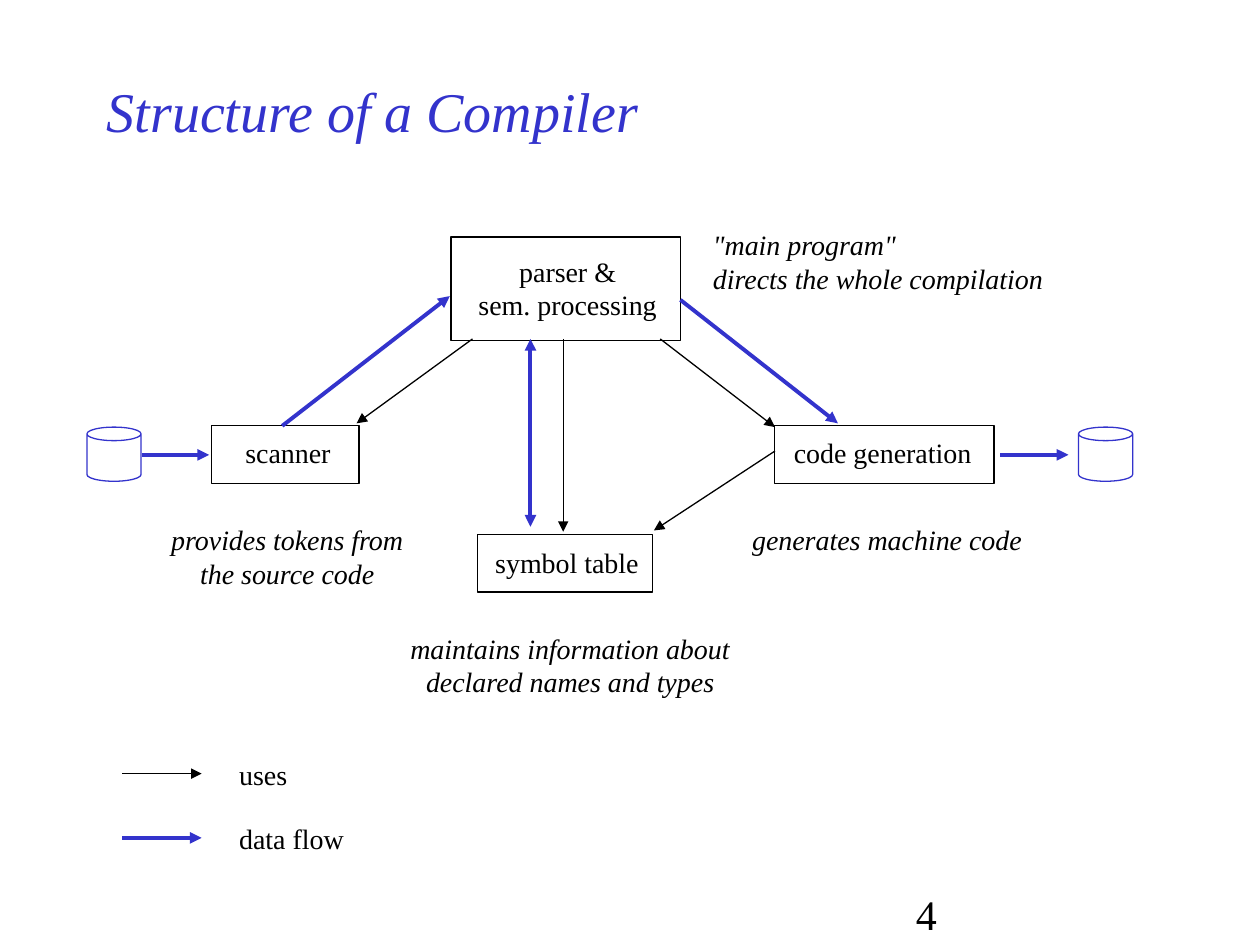
"""Builds a slide that shows the structure of a compiler."""
from dataclasses import dataclass

from pptx import Presentation
from pptx.dml.color import RGBColor
from pptx.enum.shapes import MSO_CONNECTOR, MSO_SHAPE
from pptx.enum.text import MSO_ANCHOR, MSO_AUTO_SIZE, PP_ALIGN
from pptx.oxml.ns import qn
from pptx.slide import Slide
from pptx.util import Inches, Pt
from lxml import etree

STRAIGHT = MSO_CONNECTOR.STRAIGHT
RECTANGLE, CAN = MSO_SHAPE.RECTANGLE, MSO_SHAPE.CAN
TOP, MIDDLE = MSO_ANCHOR.TOP, MSO_ANCHOR.MIDDLE
LEFT, CENTER = PP_ALIGN.LEFT, PP_ALIGN.CENTER
GROW, FIXED = MSO_AUTO_SIZE.SHAPE_TO_FIT_TEXT, MSO_AUTO_SIZE.NONE


def color(value):
    return RGBColor.from_string(value)


def write(frame, text, size, font, ink, italic=False, align=LEFT):
    for index, line in enumerate(text.split("\n")):
        para = frame.paragraphs[0] if index == 0 else frame.add_paragraph()
        para.alignment = align
        span = para.add_run()
        span.text = line
        span.font.size = Pt(size)
        span.font.name = font
        span.font.italic = italic
        span.font.color.rgb = color(ink)


@dataclass
class Diagram:
    page: Slide
    font: str = "Times New Roman"
    ink: str = "000000"
    accent: str = "3333CC"
    thin: float = 0.75
    thick: float = 2.25

    def text(self, place, text, size=16, ink=None, wrap=False, anchor=TOP, **style):
        box = self.page.shapes.add_textbox(*map(Inches, place))
        frame = box.text_frame
        frame.word_wrap = wrap
        frame.auto_size = FIXED if wrap else GROW
        frame.vertical_anchor = anchor
        write(frame, text, size, self.font, ink or self.ink, **style)

    def outline(self, kind, place, ink):
        shape = self.page.shapes.add_shape(kind, *map(Inches, place))
        shape.shadow.inherit = False
        shape.fill.background()
        shape.line.color.rgb = color(ink)
        shape.line.width = Pt(self.thin)

    def component(self, frame_place, label_place, label):
        self.text(label_place, label, align=CENTER)
        self.outline(RECTANGLE, frame_place, self.ink)

    def file(self, left):
        self.outline(CAN, (left, 3.39, 0.43, 0.43), self.accent)

    def arrow(self, start, end, ink, width, ends=("tailEnd",)):
        line = self.page.shapes.add_connector(STRAIGHT, *map(Inches, start + end))
        line.line.color.rgb = color(ink)
        line.line.width = Pt(width)
        properties = line.element.spPr
        for name in ends:
            etree.SubElement(properties.find(qn("a:ln")), qn(f"a:{name}"), type="triangle")
        etree.SubElement(properties, qn("a:effectLst"))

    def uses(self, start, end):
        self.arrow(start, end, self.ink, self.thin)

    def data_flow(self, start, end, **ends):
        self.arrow(start, end, self.accent, self.thick, **ends)


def main():
    deck = Presentation()
    deck.slide_width, deck.slide_height = Inches(10), Inches(7.5)
    diagram = Diagram(deck.slides.add_slide(deck.slide_layouts[6]))

    diagram.text((0.75, 0.5, 7.5, 0.75), "Structure of a Compiler", size=32,
                 ink=diagram.accent, wrap=True, anchor=MIDDLE, italic=True)

    components = [
        ((3.58, 1.88, 1.82, 0.82), (3.68, 1.97, 1.65, 0.64), "parser &\nsem. processing"),
        ((1.68, 3.38, 1.17, 0.46), (1.83, 3.41, 0.91, 0.37), "scanner"),
        ((3.79, 4.24, 1.39, 0.46), (3.81, 4.28, 1.38, 0.37), "symbol table"),
        ((6.15, 3.38, 1.74, 0.46), (6.18, 3.41, 1.65, 0.37), "code generation"),
    ]
    for component in components:
        diagram.component(*component)

    for start, end in [
        ((4.47, 2.69), (4.47, 4.22)),
        ((3.75, 2.69), (2.83, 3.36)),
        ((5.24, 2.69), (6.15, 3.39)),
        ((6.15, 3.58), (5.19, 4.21)),
    ]:
        diagram.uses(start, end)

    for place, remark, align in [
        ((1.23, 4.1, 2.1, 0.64), "provides tokens from\nthe source code", CENTER),
        ((3.14, 4.96, 2.77, 0.64), "maintains information about\ndeclared names and types", CENTER),
        ((5.85, 4.1, 2.38, 0.37), "generates machine code", CENTER),
        ((5.56, 1.76, 2.87, 0.64), '"main program"\ndirects the whole compilation', LEFT),
    ]:
        diagram.text(place, remark, italic=True, align=align)

    for left in (0.69, 8.56):
        diagram.file(left)

    for start, end in [
        ((2.24, 3.38), (3.57, 2.35)),
        ((1.13, 3.61), (1.66, 3.61)),
        ((7.94, 3.61), (8.48, 3.61)),
        ((5.4, 2.38), (6.65, 3.36)),
    ]:
        diagram.data_flow(start, end)
    diagram.data_flow((4.21, 4.18), (4.21, 2.69), ends=("headEnd", "tailEnd"))

    for draw, middle, width, meaning in [
        (diagram.uses, 6.14, 0.62, "uses"),
        (diagram.data_flow, 6.65, 1.07, "data flow"),
    ]:
        draw((0.97, middle), (1.6, middle))
        diagram.text((1.8, middle - 0.18, width, 0.37), meaning)

    diagram.text((7.17, 7, 2.08, 0.33), "4", size=24, wrap=True)
    deck.save("out.pptx")


if __name__ == "__main__":
    main()
